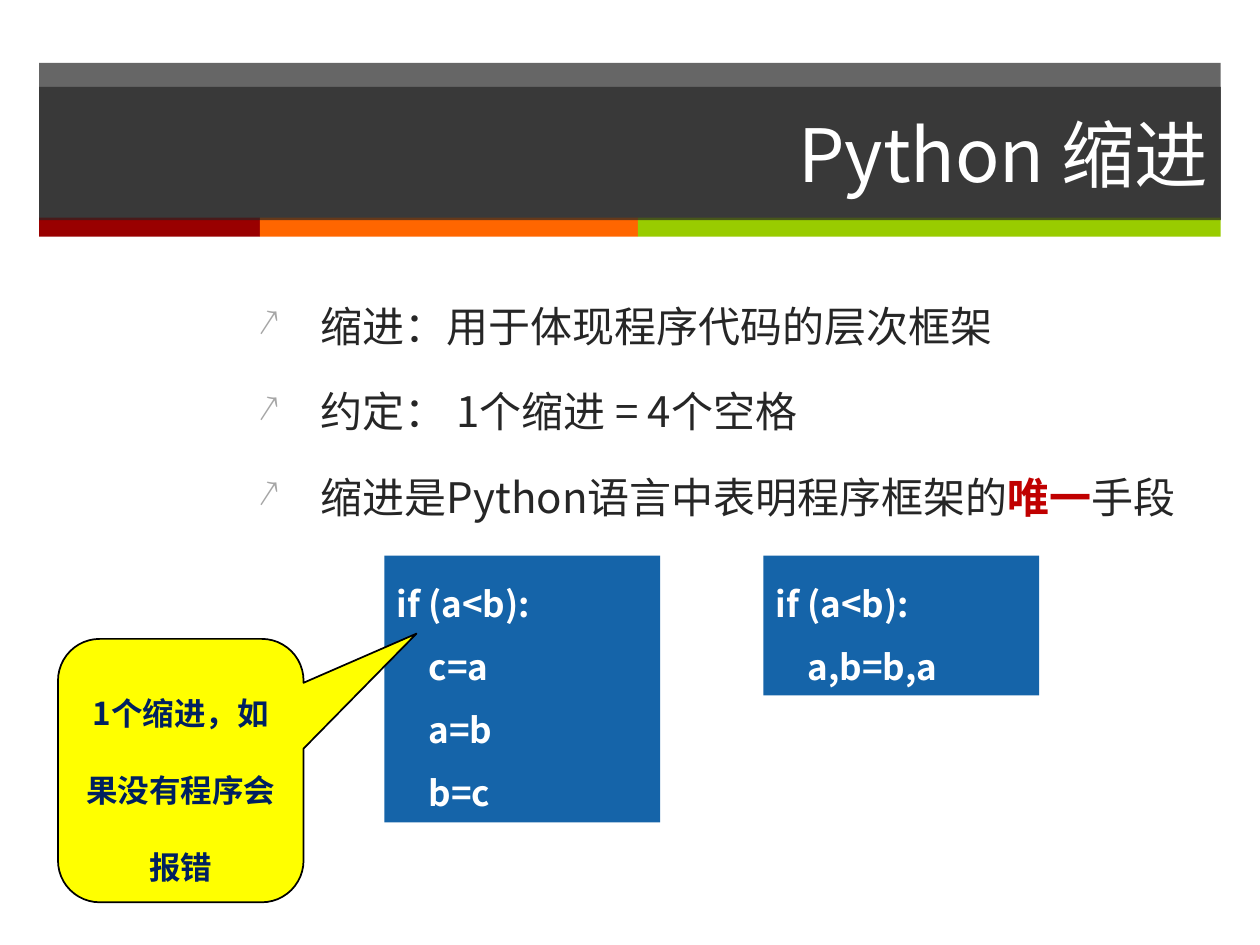
from dataclasses import dataclass

from lxml.etree import SubElement
from pptx import Presentation
from pptx.dml.color import RGBColor
from pptx.enum.shapes import MSO_SHAPE
from pptx.enum.text import MSO_ANCHOR, MSO_AUTO_SIZE, PP_ALIGN
from pptx.oxml.ns import qn
from pptx.util import Cm, Pt


@dataclass(frozen=True)
class Theme:
    font: str = "Noto Sans CJK SC"
    dark: str = "262626"
    white: str = "FFFFFF"
    bullet: str = "A6A6A6"
    accent: str = "C00000"
    code_fill: str = "1564A9"
    callout_fill: str = "FFFF00"
    callout_text: str = "002060"
    outline: str = "000000"
    stripes: tuple = ("990000", "FF6600", "99CC00")
    band_opacity: int = 70
    title_size: int = 42
    body_size: int = 24
    code_size: int = 20
    callout_size: int = 18


class SlideBuilder:
    def __init__(self, slide, theme):
        self.slide = slide
        self.theme = theme

    def style_run(self, run, size, color, bold=False):
        font = run.font
        font.size = Pt(size)
        font.bold = bold
        font.color.rgb = RGBColor.from_string(color)
        font.name = self.theme.font
        east_asian = SubElement(run._r.rPr, qn("a:ea"))
        east_asian.set("typeface", self.theme.font)

    def fill(self, shape, color, opacity=100):
        shape.fill.solid()
        shape.fill.fore_color.rgb = RGBColor.from_string(color)
        if opacity < 100:
            color_element = shape._element.spPr.find(qn("a:solidFill"))[0]
            SubElement(color_element, qn("a:alpha")).set("val", str(opacity * 1000))

    def shape(self, kind, left, top, width, height, color, opacity=100):
        shape = self.slide.shapes.add_shape(
            kind, Cm(left), Cm(top), Cm(width), Cm(height))
        shape.shadow.inherit = False
        shape.line.fill.background()
        self.fill(shape, color, opacity)
        return shape

    def title(self, text, left, top, width, height):
        title = self.slide.shapes.title
        title.left, title.top = Cm(left), Cm(top)
        title.width, title.height = Cm(width), Cm(height)
        self.fill(title, self.theme.dark, self.theme.band_opacity)
        text_frame = title.text_frame
        text_frame.text = text
        text_frame.auto_size = MSO_AUTO_SIZE.NONE
        text_frame.vertical_anchor = MSO_ANCHOR.MIDDLE
        paragraph = text_frame.paragraphs[0]
        paragraph.alignment = PP_ALIGN.RIGHT
        self.style_run(paragraph.runs[0], self.theme.title_size, self.theme.white)
        # Bring the title in front of the band drawn so far
        title._element.getparent().append(title._element)

    def code_box(self, code, left, top, width, height):
        box = self.shape(MSO_SHAPE.RECTANGLE, left, top, width, height,
                         self.theme.code_fill)
        text_frame = box.text_frame
        text_frame.text = code
        text_frame.vertical_anchor = MSO_ANCHOR.TOP
        text_frame.auto_size = MSO_AUTO_SIZE.SHAPE_TO_FIT_TEXT
        for paragraph in text_frame.paragraphs:
            paragraph.alignment = PP_ALIGN.LEFT
            paragraph.line_spacing = Pt(36)
            self.style_run(paragraph.runs[0], self.theme.code_size,
                           self.theme.white, bold=True)

    def callout(self, text, left, top, width, height, adjustments):
        callout = self.shape(MSO_SHAPE.ROUNDED_RECTANGULAR_CALLOUT,
                             left, top, width, height, self.theme.callout_fill)
        callout.line.color.rgb = RGBColor.from_string(self.theme.outline)
        callout.line.width = Pt(1)
        for index, value in enumerate(adjustments):
            callout.adjustments[index] = value
        text_frame = callout.text_frame
        text_frame.text = text
        text_frame.vertical_anchor = MSO_ANCHOR.MIDDLE
        paragraph = text_frame.paragraphs[0]
        paragraph.alignment = PP_ALIGN.CENTER
        paragraph.line_spacing = Pt(44)
        self.style_run(paragraph.runs[0], self.theme.callout_size,
                       self.theme.callout_text, bold=True)

    def add_bullet(self, paragraph):
        properties = paragraph._p.get_or_add_pPr()
        properties.set("marL", str(Cm(1.27)))
        properties.set("indent", str(-Cm(1.27)))
        color = SubElement(properties, qn("a:buClr"))
        SubElement(color, qn("a:srgbClr")).set("val", self.theme.bullet)
        SubElement(properties, qn("a:buSzPct")).set("val", "90000")
        SubElement(properties, qn("a:buChar")).set("char", "↗")

    def bullet_list(self, items, left, top, width, height):
        """Each item is a list of (text, emphasized) pairs."""
        box = self.slide.shapes.add_textbox(
            Cm(left), Cm(top), Cm(width), Cm(height))
        text_frame = box.text_frame
        text_frame.word_wrap = True
        for index, item in enumerate(items):
            paragraph = text_frame.add_paragraph() if index else text_frame.paragraphs[0]
            self.add_bullet(paragraph)
            paragraph.line_spacing = Pt(29)
            if index:
                paragraph.space_before = Pt(20)
            for text, emphasized in item:
                run = paragraph.add_run()
                run.text = text
                color = self.theme.accent if emphasized else self.theme.dark
                self.style_run(run, self.theme.body_size, color, emphasized)


def main():
    presentation = Presentation()
    presentation.slide_width, presentation.slide_height = Cm(25.4), Cm(19.05)
    slide = presentation.slides.add_slide(presentation.slide_layouts[5])
    theme = Theme()
    builder = SlideBuilder(slide, theme)

    # Header band with coloured stripes
    margin, band_width = 0.79, 23.82
    builder.shape(MSO_SHAPE.RECTANGLE, margin, 1.27, band_width, 3.15,
                  theme.dark, theme.band_opacity)
    stripe_left = margin
    for color, stripe_width in zip(theme.stripes, (4.45, 7.62, 11.75)):
        builder.shape(MSO_SHAPE.RECTANGLE, stripe_left, 4.39, stripe_width, 0.38, color)
        stripe_left += stripe_width

    # Title
    builder.title("Python 缩进", margin, 1.75, band_width, 2.69)

    # Key points
    builder.bullet_list([
        [("缩进：用于体现程序代码的层次框架", False)],
        [("约定： 1个缩进 = 4个空格", False)],
        [("缩进是Python语言中表明程序框架的", False), ("唯一", True), ("手段", False)],
    ], 4.95, 5.92, 19.66, 11.1)

    # Code samples
    code_top, code_width = 11.2, 5.56
    builder.code_box("if (a<b):\n    c=a\n    a=b\n    b=c",
                     7.75, code_top, code_width, 5.38)
    builder.code_box("if (a<b):\n    a,b=b,a", 15.39, code_top, code_width, 2.82)

    # Callout pointing at the indent
    builder.callout("1个缩进，如果没有程序会报错", 1.17, 12.88, 4.95, 5.31,
                    (0.96, -0.52, 0.17))

    presentation.save("out.pptx")


if __name__ == "__main__":
    main()
